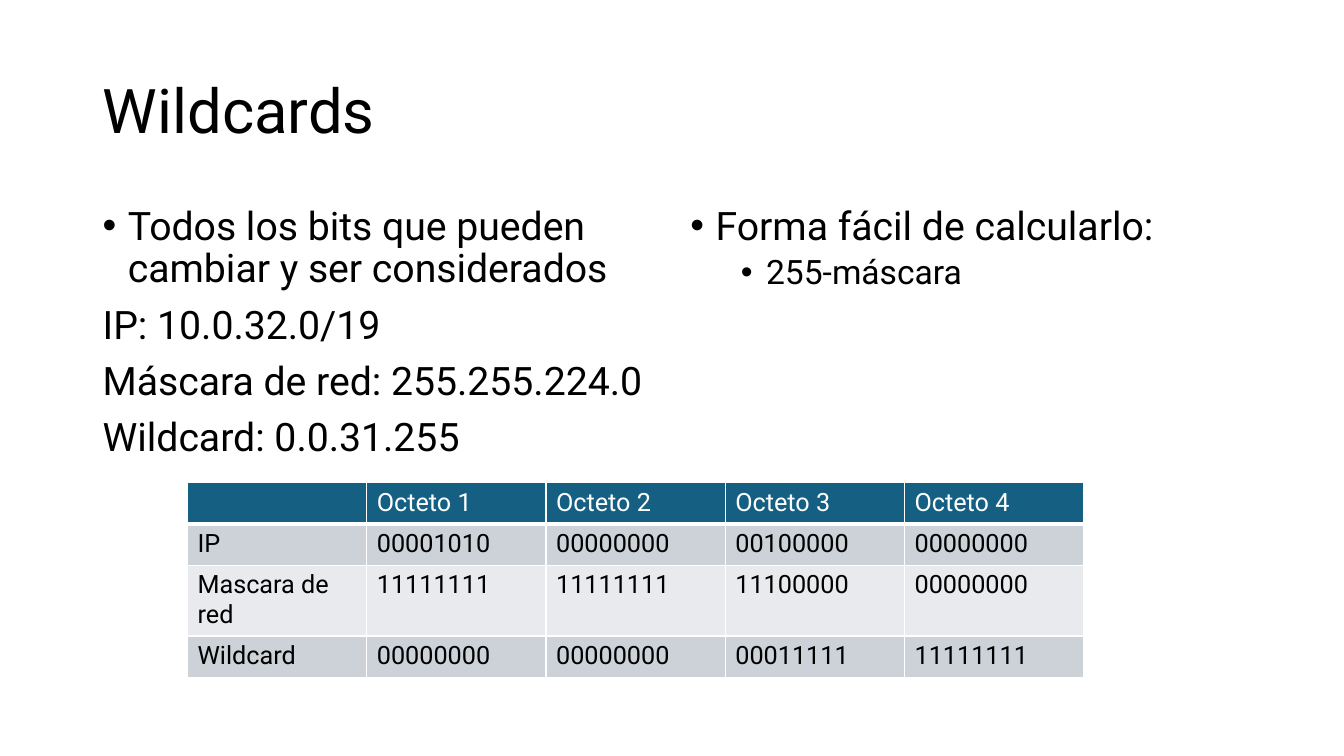
from lxml import etree
from pptx import Presentation
from pptx.dml.color import RGBColor
from pptx.enum.text import MSO_ANCHOR, PP_ALIGN
from pptx.oxml.ns import qn
from pptx.util import Inches, Pt

MIDDLE, TOP, LEFT = MSO_ANCHOR.MIDDLE, MSO_ANCHOR.TOP, PP_ALIGN.LEFT
COLORS = {"text": "000000", "white": "FFFFFF", "header": "156082",
          "odd": "CCD2D8", "even": "E8EAED"}
TITLE_ONLY = 5


def write(para, text, size, color="text"):
    para.alignment = LEFT
    span = para.add_run()
    span.text = text
    formats = {"name": "Roboto", "size": Pt(size), "bold": False}
    for name, value in formats.items():
        setattr(span.font, name, value)
    span.font.color.rgb = RGBColor.from_string(COLORS[color])


def add_border(cell, side, points):
    line = etree.SubElement(cell._tc.get_or_add_tcPr(), qn(f"a:ln{side}"), w=str(Pt(points)))
    fill = etree.SubElement(line, qn("a:solidFill"))
    etree.SubElement(fill, qn("a:srgbClr"), val=COLORS["white"])


deck = Presentation()
deck.slide_width, deck.slide_height = Inches(13.33), Inches(7.5)
page = deck.slides.add_slide(deck.slide_layouts[TITLE_ONLY])

# Title
title = page.shapes.title
title.left, title.top = Inches(0.92), Inches(0.4)
title.width, title.height = Inches(11.5), Inches(1.45)
title.text_frame.vertical_anchor = MIDDLE
title.text_frame.paragraphs[0].line_spacing = 0.9
write(title.text_frame.paragraphs[0], "Wildcards", 44)

# Two text columns: text, size, indent of the bullet text (0 for no bullet)
columns = {
    0.92: [("Todos los bits que pueden cambiar y ser considerados", 28, 0.25),
           ("IP: 10.0.32.0/19", 28, 0),
           ("Máscara de red: 255.255.224.0", 28, 0),
           ("Wildcard: 0.0.31.255", 28, 0)],
    6.75: [("Forma fácil de calcularlo:", 28, 0.25),
           ("255-máscara", 24, 0.75)],
}
for left, lines in columns.items():
    box = page.shapes.add_textbox(Inches(left), Inches(2), Inches(5.67), Inches(4.76))
    frame = box.text_frame
    frame.word_wrap = True
    frame.vertical_anchor = TOP
    for index, (text, size, indent) in enumerate(lines):
        para = frame.add_paragraph() if index else frame.paragraphs[0]
        para.line_spacing = 0.9
        if index:
            para.space_before = Pt(5 if indent > 0.25 else 10)
        if indent:
            para.level = 1 if indent > 0.25 else 0
            properties = para._p.get_or_add_pPr()
            properties.set("marL", str(Inches(indent)))
            properties.set("indent", str(Inches(-0.25)))
            etree.SubElement(properties, qn("a:buFont"), typeface="Arial")
            etree.SubElement(properties, qn("a:buChar"), char="•")
        write(para, text, size)

# Table of octets
rows = [
    ["", "Octeto 1", "Octeto 2", "Octeto 3", "Octeto 4"],
    ["IP", "00001010", "00000000", "00100000", "00000000"],
    ["Mascara de red", "11111111", "11111111", "11100000", "00000000"],
    ["Wildcard", "00000000", "00000000", "00011111", "11111111"],
]
row_heights = [0.41, 0.41, 0.69, 0.41]
table = page.shapes.add_table(len(rows), len(rows[0]), Inches(1.86), Inches(4.79),
                              Inches(8.89), Inches(sum(row_heights))).table
for column in table.columns:
    column.width = Inches(8.89 / len(rows[0]))
for row_index, values in enumerate(rows):
    table.rows[row_index].height = Inches(row_heights[row_index])
    is_header = row_index == 0
    fill = "header" if is_header else "odd" if row_index % 2 else "even"
    for column_index, value in enumerate(values):
        cell = table.cell(row_index, column_index)
        for side in "LRTB":
            add_border(cell, side, 3 if is_header and side == "B" else 1)
        cell.fill.solid()
        cell.fill.fore_color.rgb = RGBColor.from_string(COLORS[fill])
        if value:
            write(cell.text_frame.paragraphs[0], value, 18, "white" if is_header else "text")

deck.save("out.pptx")
